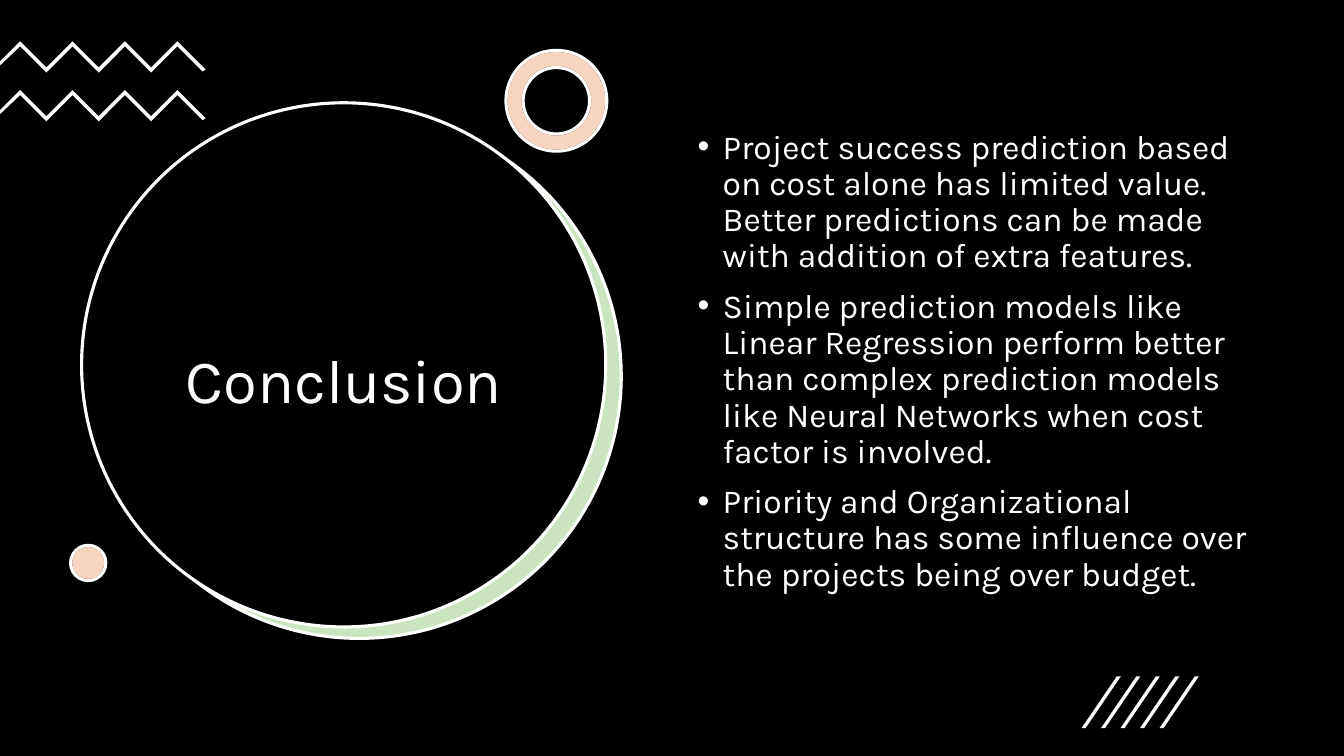
from lxml import etree
from pptx import Presentation
from pptx.dml.color import RGBColor
from pptx.enum.shapes import MSO_SHAPE
from pptx.enum.text import MSO_ANCHOR, MSO_AUTO_SIZE, PP_ALIGN
from pptx.oxml.ns import qn
from pptx.util import Inches, Pt

OVAL, RING = MSO_SHAPE.OVAL, MSO_SHAPE.DONUT
LEFT, CENTER = PP_ALIGN.LEFT, PP_ALIGN.CENTER
TOP, MIDDLE = MSO_ANCHOR.TOP, MSO_ANCHOR.MIDDLE
NO_FIT = MSO_AUTO_SIZE.NONE

COLORS = {"black": "000000", "white": "FFFFFF", "green": "4EA72E", "orange": "E97132"}
FONT = "Karla"
COLS, ROWS = 40, 22.5
CELL = Inches(1) / 3  # side of one square grid cell
POINTS = [
    "Project success prediction based on cost alone has limited value. "
    "Better predictions can be made with addition of extra features.",
    "Simple prediction models like Linear Regression perform better than complex "
    "prediction models like Neural Networks when cost factor is involved.",
    "Priority and Organizational structure has some influence over the projects "
    "being over budget.",
]


def emu(cells):
    return round(cells * CELL)


def paint(fill, name, alpha=None):
    fill.solid()
    fill.fore_color.rgb = RGBColor.from_string(COLORS[name])
    if alpha:
        tone = fill._xPr.find(qn("a:solidFill"))[0]
        etree.SubElement(tone, qn("a:alpha")).set("val", str(alpha * 1000))


def round_shape(slide, kind, box, color, line=None, alpha=None):
    shape = slide.shapes.add_shape(kind, *map(emu, box))
    shape.shadow.inherit = False
    paint(shape.fill, color, alpha)
    if line:
        paint(shape.line.fill, line)
        shape.line.width = Pt(2.25)
    else:
        shape.line.fill.background()
    if kind == RING:
        shape.adjustments[0] = 0.17


def tinted(slide, kind, box, color, edge="black"):
    """Lay a translucent colour over a white shape."""
    round_shape(slide, kind, box, "white", edge)
    round_shape(slide, kind, box, color, "white", 30)


def outline(slide, points):
    first, *rest = [(emu(x), emu(y)) for x, y in points]
    pen = slide.shapes.build_freeform(*first, scale=1.0)
    pen.add_line_segments(rest, close=True)
    shape = pen.convert_to_shape()
    shape.shadow.inherit = False
    paint(shape.fill, "white")
    shape.line.fill.background()


def write(holder, box, lines, size, align=LEFT, anchor=TOP, before=0, bullet=None):
    holder.left, holder.top, holder.width, holder.height = map(emu, box)
    frame = holder.text_frame
    frame.word_wrap = True
    frame.auto_size = NO_FIT
    frame.vertical_anchor = anchor
    frame.text = "\n".join(lines)
    for para in frame.paragraphs:
        para.alignment = align
        para.line_spacing = 0.9
        para.space_before = Pt(before)
        font = para.runs[0].font
        font.name, font.size = FONT, Pt(size)
        font.color.rgb = RGBColor.from_string(COLORS["white"])
        if bullet:
            props = para._p.get_or_add_pPr()
            props.set("marL", str(Inches(0.25)))
            props.set("indent", str(-Inches(0.25)))
            etree.SubElement(props, qn("a:buFont")).set("typeface", "Arial")
            etree.SubElement(props, qn("a:buChar")).set("char", bullet)


def title_disc(slide, box):
    x, y, side = box
    tinted(slide, OVAL, (x + 0.46, y + 0.34, side, side), "green", None)
    round_shape(slide, OVAL, (x, y, side, side), "black", "white")
    area = (x + 1.2, y + 3.09, side - 2.37, side - 5.04)
    write(slide.shapes.title, area, ["Conclusion"], 44, CENTER, MIDDLE)


def zigzags(slide, box):
    x, y, width, gap = box
    step, thick = 0.78, 0.15
    for row in range(2):
        top = y + row * gap
        edge = [(x + 0.6 + i * step, top + i % 2 * step) for i in range(7)]
        under = [(px, py + thick) for px, py in reversed(edge)]
        right = [(x + width, top + 0.84), (x + width - 0.09, top + 0.9)]
        left = [(x, top + 0.72), (x, top + 0.6)]
        outline(slide, edge + right + under + left)


def stripes(slide, box):
    x, y, width, height = box
    thick, step = 0.12, 0.58
    for i in range(5):
        low, high = x + i * step, x + i * step + width
        outline(slide, [(low + thick, y + height), (low, y + height),
                        (high - thick, y), (high, y)])


def build():
    deck = Presentation()
    deck.slide_width, deck.slide_height = emu(COLS), emu(ROWS)
    slide = deck.slides.add_slide(deck.slide_layouts[1])
    paint(slide.background.fill, "black")
    # Placeholders come first in the tree, so the title is raised above its disc.
    title_disc(slide, (2.43, 3.06, 15.6))
    slide.shapes._spTree.append(slide.shapes.title._element)
    zigzags(slide, (0, 1.23, 6.12, 1.45))
    tinted(slide, RING, (15.06, 1.5, 3, 3), "orange")
    tinted(slide, OVAL, (2.1, 16.23, 1.05, 1.05), "orange")
    write(slide.placeholders[1], (20.46, 3.72, 17.13, 14.28), POINTS, 24,
          before=10, bullet="•")
    stripes(slide, (32.19, 20.13, 1.17, 1.54))
    deck.save("out.pptx")


if __name__ == "__main__":
    build()
